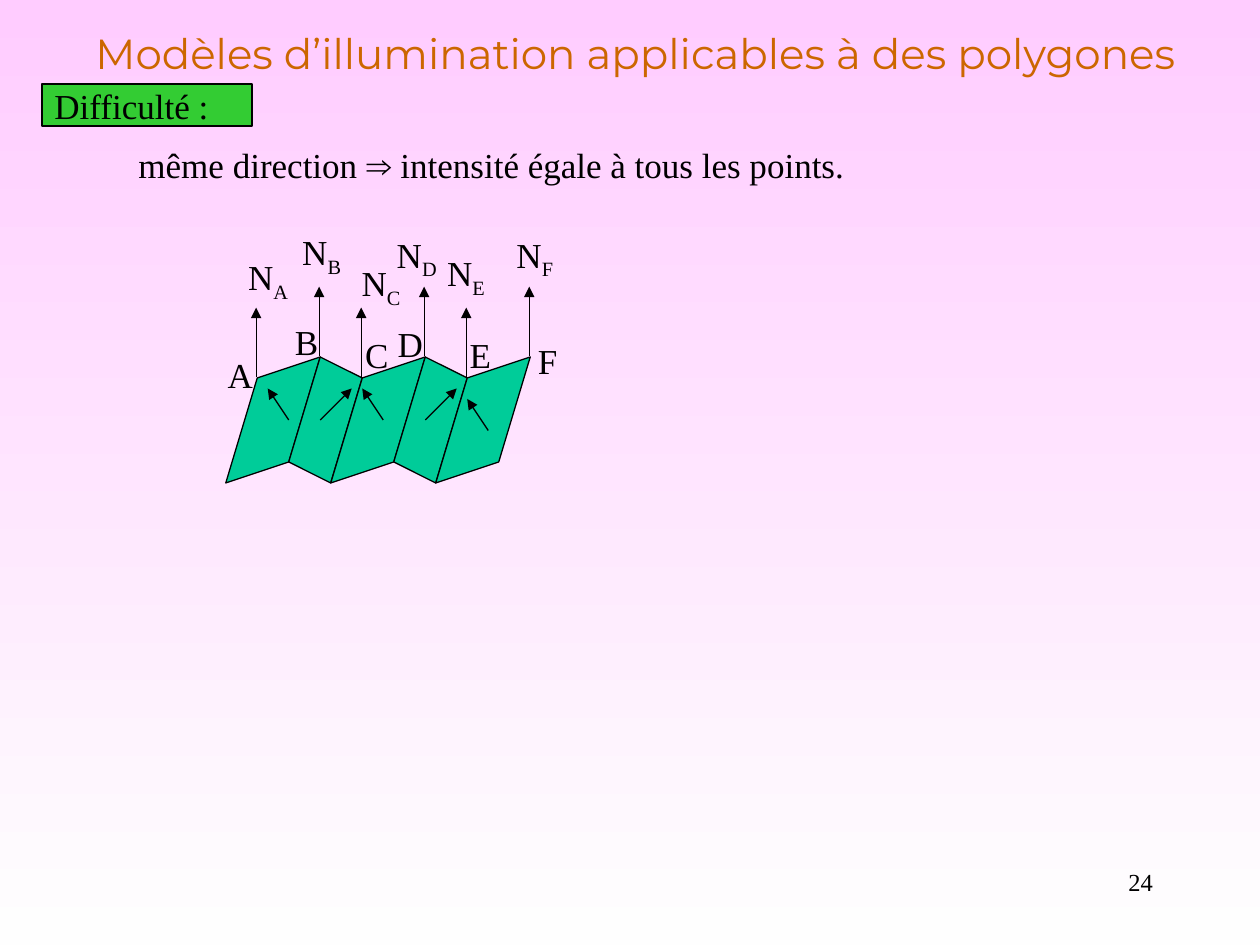
from lxml.etree import SubElement
from pptx import Presentation
from pptx.dml.color import RGBColor
from pptx.enum.shapes import MSO_CONNECTOR, MSO_SHAPE
from pptx.enum.text import MSO_ANCHOR, MSO_AUTO_SIZE, PP_ALIGN
from pptx.oxml.ns import qn
from pptx.util import Inches, Pt

CELL = Inches(1) / 24
COLORS = {
    "sky": "FFCCFF",
    "ground": "FEFEFE",
    "title": "CC6600",
    "tag": "33CC33",
    "facet": "00CC99",
    "ink": "000000",
}
BODY = {"name": "Times New Roman", "size": Pt(20)}
TITLE = {"name": "Montserrat", "size": Pt(24)}
PAGE = {"name": "Times New Roman", "size": Pt(14)}
SYMBOL = {"name": "Arial", "size": Pt(20)}

VERTICES = [(49 + 20 * (i // 2) + 12 * (i % 2), 72 - 4 * (i % 2)) for i in range(6)]
EDGE = (-6, 20)
NORMAL_LENGTH = 13.2
FACET_NORMALS = [
    ((55, 80), (-4, -6)),
    ((61, 80), (6, -6)),
    ((73, 80), (-4, -6)),
    ((81, 80), (6, -6)),
    ((93, 82), (-4, -6)),
]
LABELS = {
    "A": ((41, 66.2), (44.9, 47.5)),
    "B": ((53.8, 59.8), (55.2, 42.7)),
    "C": ((67.2, 62.4), (66.5, 48.7)),
    "D": ((73.4, 60.2), (73.2, 43.2)),
    "E": ((87.1, 62.4), (82.8, 46.8)),
    "F": ((100.1, 63.4), (96, 43.2)),
}


def cells(*counts):
    return [round(count * CELL) for count in counts]


def color(name):
    return RGBColor.from_string(COLORS[name])


def paint_background(slide):
    fill = slide.background.fill
    fill.gradient()
    fill.gradient_angle = 270
    for stop, position, name in zip(fill.gradient_stops, (0, 1), ("sky", "ground")):
        stop.position = position
        stop.color.rgb = color(name)


def write(shape, runs, align=PP_ALIGN.LEFT, anchor=MSO_ANCHOR.TOP, ink="ink"):
    frame = shape.text_frame
    settings = {"word_wrap": True, "auto_size": MSO_AUTO_SIZE.NONE, "vertical_anchor": anchor}
    for name, value in settings.items():
        setattr(frame, name, value)
    paragraph = frame.paragraphs[0]
    paragraph.alignment = align
    for text, style in runs:
        run = paragraph.add_run()
        run.text = text
        for name, value in style.items():
            setattr(run.font, name, value)
        run.font.color.rgb = color(ink)
    return paragraph


def add_title(slide, box, text):
    title = slide.shapes.title
    for name, value in zip(("left", "top", "width", "height"), cells(*box)):
        setattr(title, name, value)
    write(title, [(text, TITLE)], PP_ALIGN.CENTER, MSO_ANCHOR.MIDDLE, "title")


def add_text(slide, box, runs, align=PP_ALIGN.LEFT):
    return write(slide.shapes.add_textbox(*cells(*box)), runs, align)


def outline(shape, fill):
    shape.shadow.inherit = False
    shape.fill.solid()
    shape.fill.fore_color.rgb = color(fill)
    shape.line.color.rgb = color("ink")
    shape.line.width = Pt(0.75)


def add_tag(slide, box, text):
    tag = slide.shapes.add_shape(MSO_SHAPE.RECTANGLE, *cells(*box))
    outline(tag, "tag")
    write(tag, [(text, BODY)], anchor=MSO_ANCHOR.MIDDLE)


def add_facet(slide, left, right):
    lower_left, lower_right = (
        (x + EDGE[0], y + EDGE[1]) for x, y in (left, right)
    )
    builder = slide.shapes.build_freeform(*cells(*lower_left))
    builder.add_line_segments([cells(*point) for point in (lower_right, right, left)])
    outline(builder.convert_to_shape(), "facet")


def add_arrow(slide, start, delta):
    end = (start[0] + delta[0], start[1] + delta[1])
    arrow = slide.shapes.add_connector(MSO_CONNECTOR.STRAIGHT, *cells(*start, *end))
    arrow.line.color.rgb = color("ink")
    arrow.line.width = Pt(0.75)
    properties = arrow._element.spPr
    SubElement(properties.find(qn("a:ln")), qn("a:tailEnd"), type="triangle")
    SubElement(properties, qn("a:effectLst"))


def add_labels(slide, vertex, vertex_place, normal_place):
    add_text(slide, (*vertex_place, 9.6, 10.6), [(vertex, BODY)])
    paragraph = add_text(slide, (*normal_place, 12.5, 11.5), [("N", BODY), (vertex, BODY)])
    paragraph.runs[1]._r.get_or_add_rPr().set("baseline", "-25000")


def main():
    presentation = Presentation()
    presentation.slide_width, presentation.slide_height = cells(240, 180)
    slide = presentation.slides.add_slide(presentation.slide_layouts[5])
    paint_background(slide)
    add_title(slide, (6, 4, 230, 12), "Modèles d’illumination applicables à des polygones")
    add_tag(slide, (8, 16, 40, 8), "Difficulté :")
    add_text(slide, (24, 26.2, 141, 10.6), [
        ("même direction ", BODY),
        ("⇒", SYMBOL),
        (" intensité égale à tous les points.", BODY),
    ])
    for left, right in zip(VERTICES, VERTICES[1:]):
        add_facet(slide, left, right)
    for start, delta in FACET_NORMALS:
        add_arrow(slide, start, delta)
    for vertex, places in LABELS.items():
        add_labels(slide, vertex, *places)
    for x, y in VERTICES:
        add_arrow(slide, (x - 0.2, y - 0.2), (0, -NORMAL_LENGTH))
    add_text(slide, (172, 164, 50, 12), [("24", PAGE)], PP_ALIGN.RIGHT)
    presentation.save("out.pptx")


if __name__ == "__main__":
    main()
